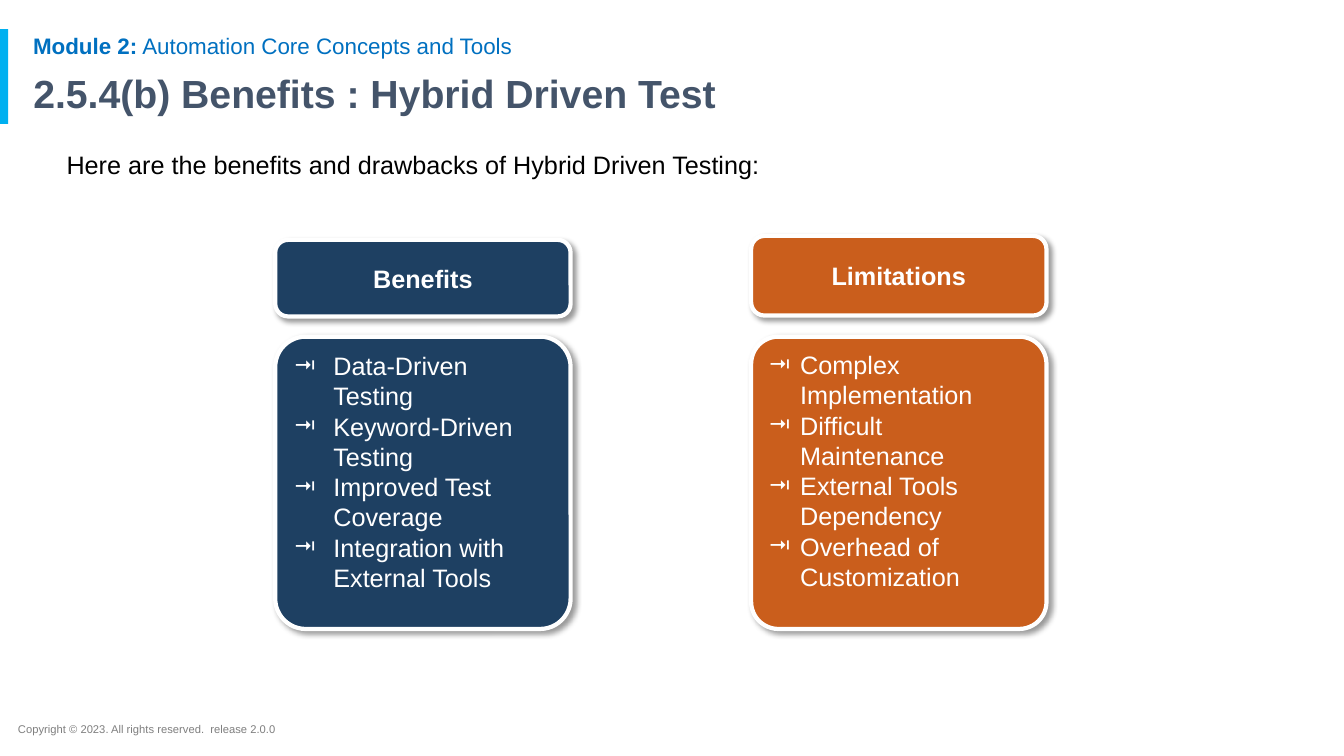
from lxml import etree
from pptx import Presentation
from pptx.dml.color import RGBColor
from pptx.enum.shapes import MSO_SHAPE
from pptx.enum.text import MSO_ANCHOR, MSO_AUTO_SIZE, PP_ALIGN
from pptx.oxml.ns import qn
from pptx.util import Inches, Pt

RECTANGLE, ROUNDED = MSO_SHAPE.RECTANGLE, MSO_SHAPE.ROUNDED_RECTANGLE
TOP, MIDDLE = MSO_ANCHOR.TOP, MSO_ANCHOR.MIDDLE
LEFT, CENTER = PP_ALIGN.LEFT, PP_ALIGN.CENTER
NO_AUTOFIT = MSO_AUTO_SIZE.NONE

COLORS = {
    "accent": "00B0F0", "module": "0070C0", "title": "44546A",
    "body": "000000", "footer": "7F7F7F", "white": "FFFFFF",
    "benefits": "1E4062", "limitations": "CA5E1C", "shadow": "000000",
}


class SlideBuilder:
    """Holds the style and the current slide."""

    font_name = "Arial"

    def __init__(self, slide):
        self.slide = slide

    def color(self, name):
        return RGBColor.from_string(COLORS[name])

    def place(self, shape, box):
        shape.left, shape.top, shape.width, shape.height = map(Inches, box)

    def set_text(self, shape, lines, size, color, bold=False, align=LEFT,
                 anchor=TOP, spacing=1.0, bullet=None, indent=0):
        frame = shape.text_frame
        frame.text = "\n".join(lines)
        frame.word_wrap = True
        frame.auto_size = NO_AUTOFIT
        frame.vertical_anchor = anchor
        for paragraph in frame.paragraphs:
            paragraph.alignment = align
            paragraph.line_spacing = spacing
            paragraph.space_before = Pt(0)
            self.set_bullet(paragraph, bullet, indent)
            for run in paragraph.runs:
                self.format_run(run, size, color, bold)

    def format_run(self, run, size, color, bold):
        run.font.name = self.font_name
        run.font.size = Pt(size)
        run.font.bold = bold
        run.font.color.rgb = self.color(color)

    def set_bullet(self, paragraph, bullet, indent):
        properties = paragraph._p.get_or_add_pPr()
        properties.set("marL", str(Inches(indent)))
        properties.set("indent", str(-Inches(indent)))
        if bullet is None:
            etree.SubElement(properties, qn("a:buNone"))
            return
        bullet_color = etree.SubElement(properties, qn("a:buClr"))
        etree.SubElement(bullet_color, qn("a:srgbClr"), val=COLORS["white"])
        etree.SubElement(properties, qn("a:buFont"), typeface=self.font_name)
        etree.SubElement(properties, qn("a:buChar"), char=bullet)

    def placeholder(self, index, box, text, size, color, **style):
        shape = self.slide.placeholders[index]
        self.place(shape, box)
        self.set_text(shape, [text], size, color, **style)

    def text_box(self, box, text, size, color, **style):
        shape = self.slide.shapes.add_textbox(*map(Inches, box))
        self.set_text(shape, [text], size, color, **style)
        return shape

    def bar(self, box, color):
        shape = self.slide.shapes.add_shape(RECTANGLE, *map(Inches, box))
        shape.shadow.inherit = False
        shape.fill.solid()
        shape.fill.fore_color.rgb = self.color(color)
        shape.line.fill.background()

    def card(self, box, color, rounding, lines, **style):
        shape = self.slide.shapes.add_shape(ROUNDED, *map(Inches, box))
        shape.adjustments[0] = rounding
        shape.fill.solid()
        shape.fill.fore_color.rgb = self.color(color)
        shape.line.color.rgb = self.color("white")
        shape.line.width = Pt(3)
        self.add_shadow(shape)
        self.set_text(shape, lines, 18, "white", **style)

    def add_shadow(self, shape):
        shape.shadow.inherit = False
        effects = shape._element.spPr.find(qn("a:effectLst"))
        shadow = etree.SubElement(
            effects, qn("a:outerShdw"), blurRad=str(Pt(4)), dist=str(Pt(3)),
            dir="2700000", algn="tl", rotWithShape="0")
        shade = etree.SubElement(shadow, qn("a:srgbClr"), val=COLORS["shadow"])
        etree.SubElement(shade, qn("a:alpha"), val="40000")


def main():
    presentation = Presentation()
    presentation.slide_width = Inches(13.33)
    presentation.slide_height = Inches(7.5)
    slide = presentation.slides.add_slide(presentation.slide_layouts[1])
    builder = SlideBuilder(slide)

    # Header and footer
    builder.bar((0, 0.29, 0.08, 0.94), "accent")
    builder.text_box((0.08, 7.12, 7.13, 0.24),
                     "Copyright © 2023. All rights reserved.  release 2.0.0",
                     8, "footer")
    module = builder.text_box((0.23, 0.3, 11.5, 0.33), "Module 2:", 16,
                              "module", bold=True, spacing=0.9)
    module_name = module.text_frame.paragraphs[0].add_run()
    module_name.text = " Automation Core Concepts and Tools"
    builder.format_run(module_name, 16, "module", False)

    # Title and introduction
    builder.placeholder(0, (0.23, 0.69, 12.73, 0.54),
                        "2.5.4(b) Benefits : Hybrid Driven Test", 28, "title",
                        bold=True, spacing=0.9)
    builder.placeholder(
        1, (0.56, 1.43, 11.24, 5.29),
        "Here are the benefits and drawbacks of Hybrid Driven Testing:",
        18, "body")

    # Columns: heading, color, left, heading top and height, rounding, indent
    columns = [
        ("Benefits", "benefits", 2.73, 2.38, 0.76, 0.104, 0.39,
         ["Data-Driven Testing", "Keyword-Driven Testing",
          "Improved Test Coverage", "Integration with External Tools"]),
        ("Limitations", "limitations", 7.45, 2.34, 0.79, 0.093, 0.31,
         ["Complex Implementation", "Difficult Maintenance",
          "External Tools Dependency", "Overhead of Customization"]),
    ]
    card_width = 2.93
    for heading, color, left, top, height, rounding, indent, items in columns:
        builder.card((left, top, card_width, height), color, 0.167, [heading],
                     bold=True, align=CENTER, anchor=MIDDLE)
        builder.card((left, 3.34, card_width, 2.9), color, rounding, items,
                     bullet="⭲", indent=indent)

    presentation.save("out.pptx")


if __name__ == "__main__":
    main()
